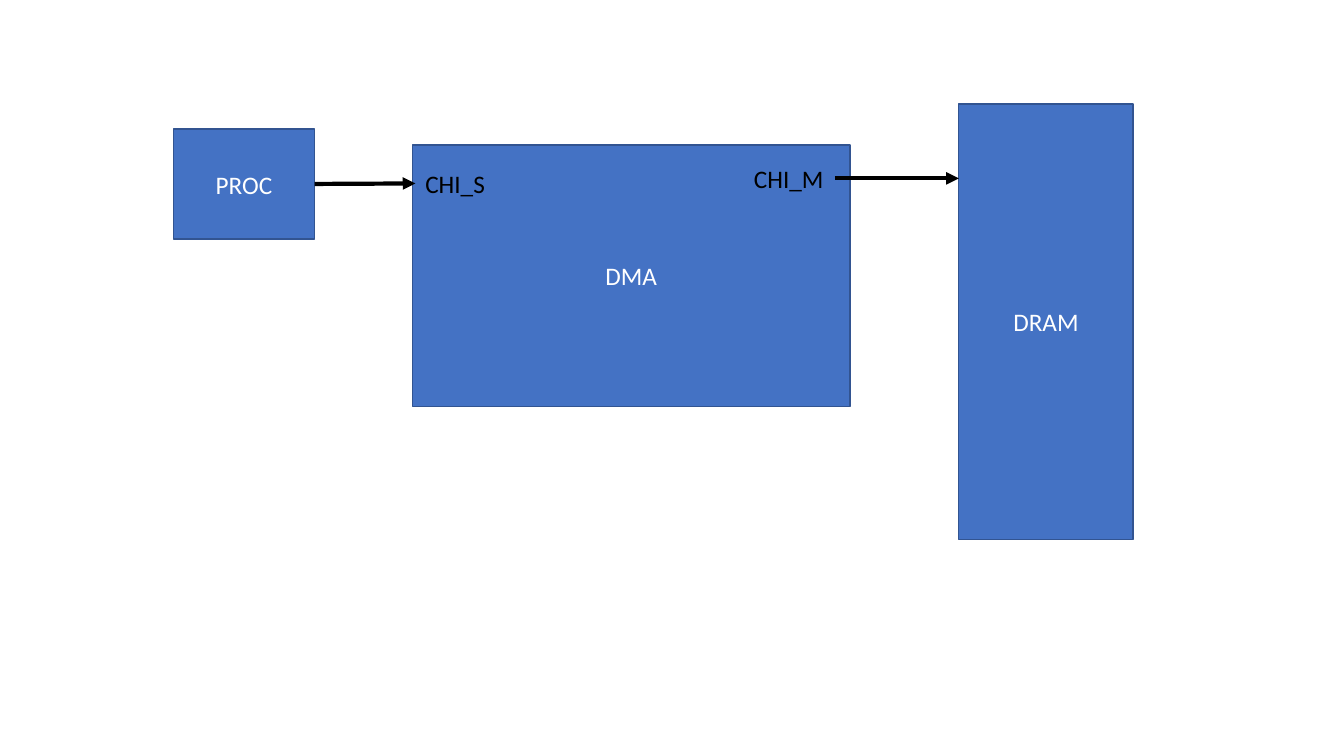
import pptx
import pptx.dml.color
import pptx.enum.shapes
import pptx.enum.text
import pptx.util
from lxml import etree
from pptx.oxml.ns import qn
from pptx.util import Inches


def color(hex_code):
    return pptx.dml.color.RGBColor.from_string(hex_code)


def write(shape, text, hex_code="000000", align=pptx.enum.text.PP_ALIGN.LEFT):
    para = shape.text_frame.paragraphs[0]
    para.alignment = align
    span = para.add_run()
    span.text = text
    span.font.name = "Calibri"
    span.font.size = pptx.util.Pt(18)
    span.font.color.rgb = color(hex_code)


deck = pptx.Presentation()
deck.slide_width = Inches(13.33)
deck.slide_height = Inches(7.5)
page = deck.slides.add_slide(deck.slide_layouts[6])

# Hardware blocks: name, left, top, width, height
blocks = {}
for name, *place in [
    ("DMA", 4.09, 1.44, 4.34, 2.59),
    ("DRAM", 9.51, 1.03, 1.73, 4.32),
    ("PROC", 1.72, 1.28, 1.4, 1.09),
]:
    box = page.shapes.add_shape(
        pptx.enum.shapes.MSO_SHAPE.RECTANGLE, *map(Inches, place))
    box.shadow.inherit = False
    box.fill.solid()
    box.fill.fore_color.rgb = color("4472C4")
    box.line.color.rgb = color("325491")
    box.line.width = pptx.util.Pt(1)
    box.text_frame.vertical_anchor = pptx.enum.text.MSO_ANCHOR.MIDDLE
    write(box, name, hex_code="FFFFFF", align=pptx.enum.text.PP_ALIGN.CENTER)
    blocks[name] = box

# Port labels on the DMA block: name, left, top, width, height
ports = {}
for name, *place in [
    ("CHI_M", 7.38, 1.57, 0.9, 0.4),
    ("CHI_S", 4.12, 1.62, 0.8, 0.4),
]:
    label = page.shapes.add_textbox(*map(Inches, place))
    label.text_frame.word_wrap = False
    label.text_frame.auto_size = pptx.enum.text.MSO_AUTO_SIZE.SHAPE_TO_FIT_TEXT
    write(label, name)
    ports[name] = label

# Bus arrows: start shape, end shape (None for a free end), left, right, height
for start, end, left, right, level in [
    (ports["CHI_M"], None, 8.28, 9.51, 1.77),
    (blocks["PROC"], ports["CHI_S"], 3.12, 4.12, 1.82),
]:
    arrow = page.shapes.add_connector(
        pptx.enum.shapes.MSO_CONNECTOR.STRAIGHT,
        Inches(left), Inches(level), Inches(right), Inches(level))
    arrow.begin_connect(start, 3)
    if end is not None:
        arrow.end_connect(end, 1)
    arrow.line.color.rgb = color("000000")
    arrow.line.width = pptx.util.Pt(3)
    etree.SubElement(arrow.line._get_or_add_ln(), qn("a:tailEnd"), type="triangle")
    etree.SubElement(arrow._element.spPr, qn("a:effectLst"))

deck.save("out.pptx")
